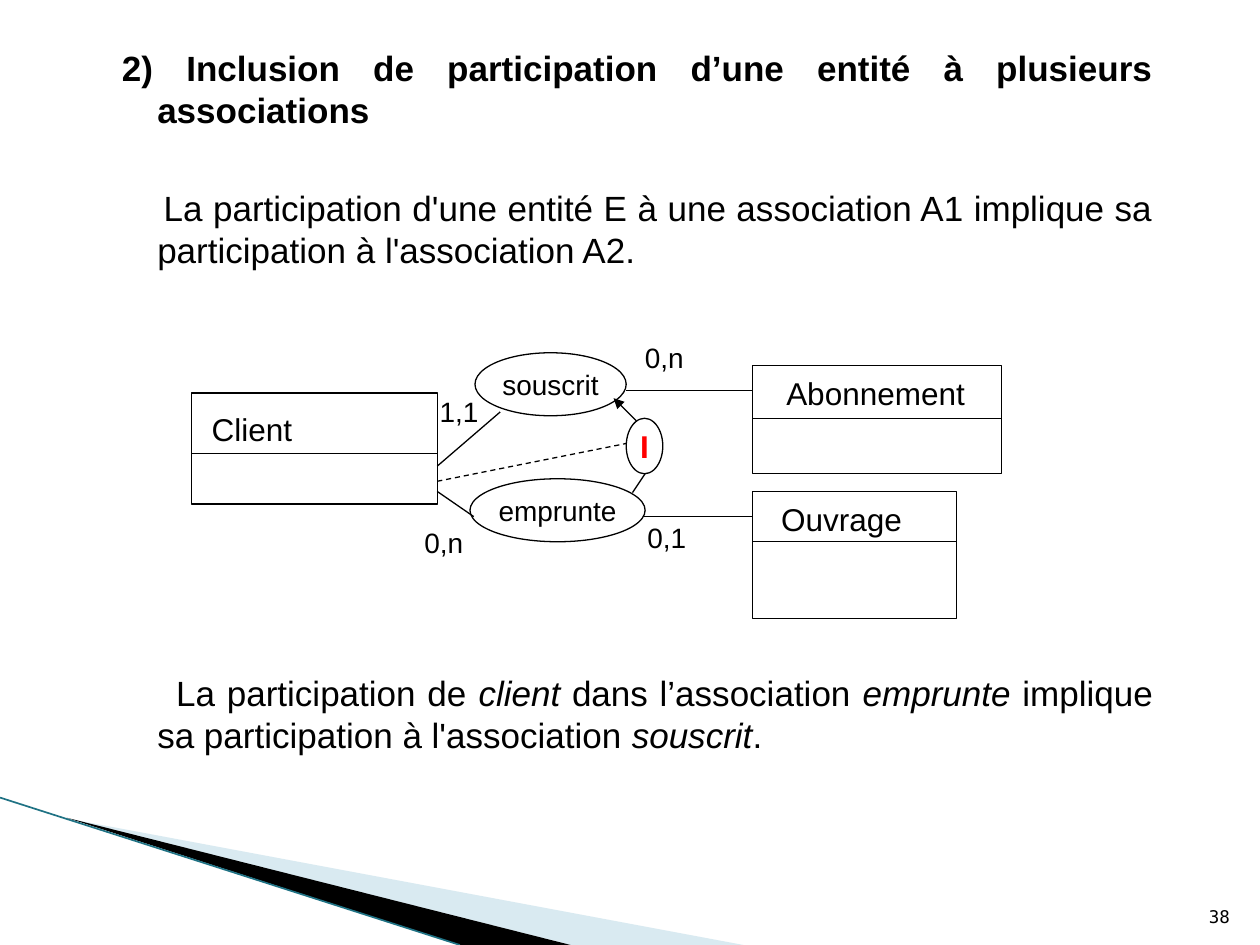
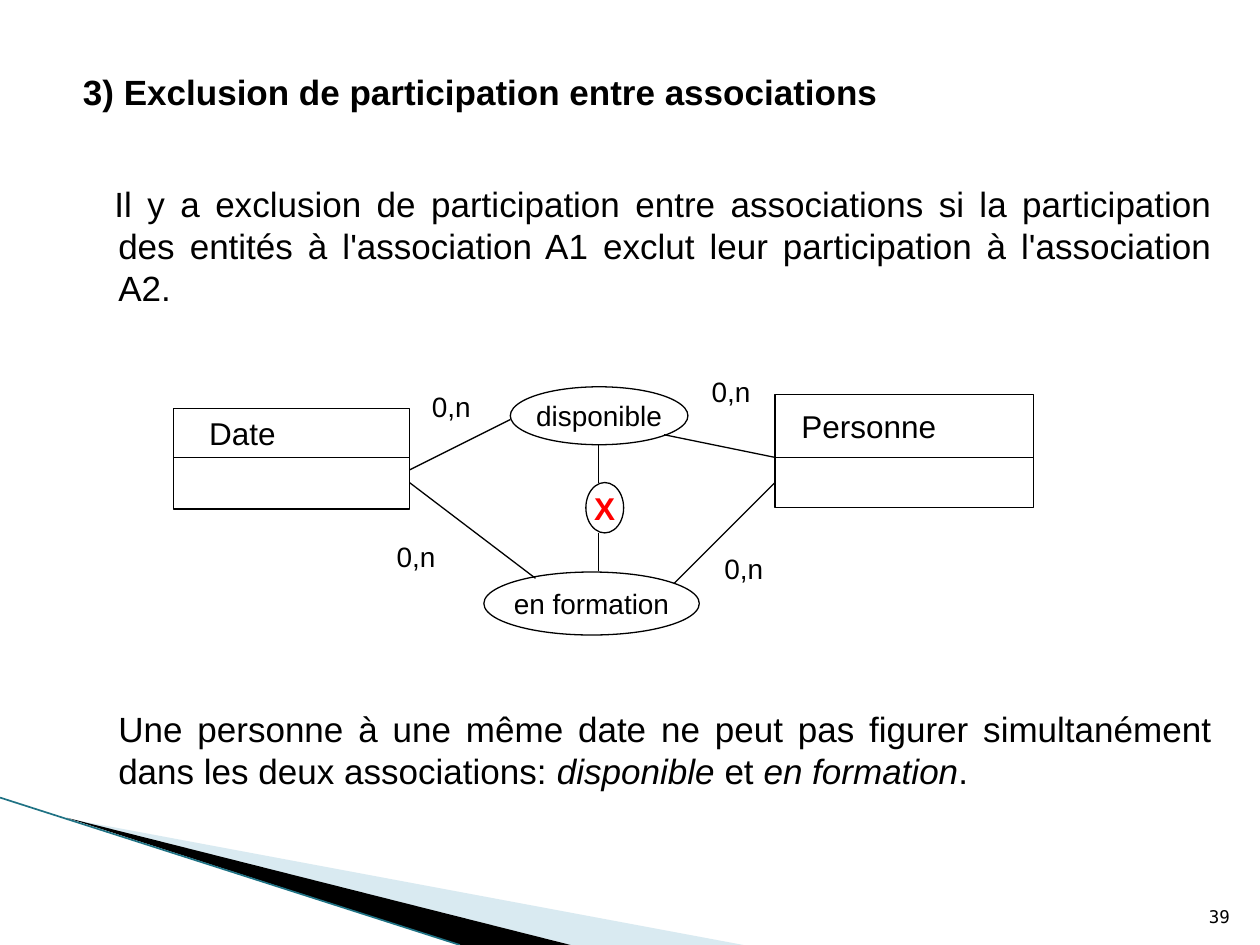
import lxml.etree
import pptx
import pptx.dml.color
import pptx.enum.dml
import pptx.enum.shapes
import pptx.enum.text
import pptx.oxml.ns
import pptx.util

ALIGN = pptx.enum.text.PP_ALIGN
ANCHOR = pptx.enum.text.MSO_ANCHOR
SHAPE = pptx.enum.shapes.MSO_SHAPE
Pt = pptx.util.Pt

# Lengths count cells of a grid of 100 columns by 75 rows on a 10 x 7.5 inch slide.
COLUMNS, ROWS = 100, 75
WIDTH, HEIGHT = pptx.util.Inches(10), pptx.util.Inches(7.5)
CELL = WIDTH // COLUMNS

THEME = {
    "font": "Arial", "number_font": "DejaVu Sans Mono",
    "ink": "000000", "paper": "FFFFFF", "alert": "FF0000",
    "pale": "A0CBDC", "edge": "1F7284", "pale_opacity": 40,
    "body": 20, "entity": 18, "association": 16, "number": 10,
    "line": 0.75, "edge_line": 0.95, "leading": 24,
}

# Corner bands: colour, opacity in percent, corners
BANDS = [
    ("pale", THEME["pale_opacity"], [(5.5, 65), (59, ROWS), (45.3, ROWS)]),
    ("ink", 100, [(5.3, 64.9), (45.3, ROWS), (36.5, ROWS)]),
]
BAND_EDGE = (0, 63.3, 36.5, ROWS)
NUMBER_BOX = (94.6, 70.1, 4, 4)

# paragraphs: text (*italic*), points before, first-line indent, alignment, bold
# entities: name, box, row of the divider, inset of the name
# links: ends, dash, arrow
SLIDES = [
    {
        "number": "38",
        "body": (7.5, 3.2, 85, 63.5),
        "paragraphs": [
            ("2) Inclusion de participation d’une entité à plusieurs associations", 0, -2.8, ALIGN.JUSTIFY, True),
            ("La participation d'une entité E à une association A1 implique sa "
             "participation à l'association A2.", 32, 0.5, ALIGN.JUSTIFY, False),
            ("La participation de *client* dans l’association *emprunte* implique sa "
             "participation à l'association *souscrit*.", 229, 1.5, ALIGN.JUSTIFY, False),
        ],
        "entities": [
            ("Client", (15.2, 31.2, 19.5, 8.8), 36, (1.6, 1.3)),
            ("Ouvrage", (59.7, 39, 16.2, 10.1), 43, (2.3, 0.7)),
            ("Abonnement", (59.7, 29, 19.8, 8.6), 33.2, (2.7, 0.7)),
        ],
        "associations": [
            ("emprunte", (37.3, 38, 13.9, 5)),
            ("souscrit", (37.7, 28, 12, 5)),
        ],
        "constraint": ("I", (49.7, 33.2, 2.9, 4.4)),
        "links": [
            ((34.7, 37, 39.7, 32.7), False, False),
            ((34.7, 39, 37.6, 41), False, False),
            ((49.7, 31, 59.7, 31), False, False),
            ((51, 41, 59.7, 41), False, False),
            ((50.2, 39.1, 51.2, 37.6), False, False),
            ((50.5, 33.4, 48.7, 31.6), False, True),
            ((34.7, 38.2, 49.7, 35.2), True, False),
        ],
        "multiplicities": [
            ("1,1", (33.9, 30.8)), ("0,n", (32.7, 41.2)),
            ("0,1", (50.4, 40.8)), ("0,n", (50.2, 26.5)),
        ],
    },
    {
        "number": "39",
        "body": (4.4, 5.1, 92.8, 64.3),
        "paragraphs": [
            ("3) Exclusion de participation entre associations", 0, -2.8, ALIGN.LEFT, True),
            ("Il y a exclusion de participation entre associations si la participation "
             "des entités à l'association A1 exclut leur participation à "
             "l'association A2.", 40, -0.3, ALIGN.JUSTIFY, False),
            ("Une personne à une même date ne peut pas figurer simultanément dans les "
             "deux associations: *disponible* et *en formation*.", 228, 0, ALIGN.JUSTIFY, False),
        ],
        "entities": [
            ("Date", (13.8, 32.4, 18.7, 8), 36.3, (2.8, 0.5)),
            ("Personne", (61.5, 31.3, 20.5, 9), 36.3, (2.1, 1)),
        ],
        "associations": [
            ("disponible", (40.5, 30.7, 14.1, 4.6)),
            ("en formation", (38.4, 45.4, 17.1, 5)),
        ],
        "constraint": ("X", (46.5, 38.3, 3, 4)),
        "links": [
            ((32.5, 37.3, 40.5, 33.3), False, False),
            ((32.5, 38.3, 42.5, 45.9), False, False),
            ((52.7, 34.5, 61.5, 36.3), False, False),
            ((53.5, 46.3, 61.5, 38.3), False, False),
            ((47.5, 35.3, 47.5, 38.3), False, False),
            ((47.5, 42.3, 47.5, 45.3), False, False),
        ],
        "multiplicities": [
            ("0,n", (33.3, 30.4)), ("0,n", (30.5, 42.3)),
            ("0,n", (56.5, 43.3)), ("0,n", (55.5, 29.2)),
        ],
    },
]
MULTIPLICITY_SIZE = (8, 4)


def cells(lengths):
    return [round(length * CELL) for length in lengths]


def colour(name):
    return pptx.dml.color.RGBColor.from_string(THEME[name])


def assign(target, values):
    for attribute, value in values.items():
        setattr(target, attribute, value)


def add_xml(parent, tag, **attributes):
    return lxml.etree.SubElement(parent, pptx.oxml.ns.qn(tag), attributes)


def add_run(paragraph, text, size, ink="ink", font="font", bold=False, italic=False):
    run = paragraph.add_run()
    run.text = text
    assign(run.font, {"name": THEME[font], "size": Pt(THEME[size]), "bold": bold, "italic": italic})
    run.font.color.rgb = colour(ink)


def add_label(slide, text, box, size, **look):
    label = slide.shapes.add_textbox(*cells(box))
    label.text_frame.word_wrap = True
    add_run(label.text_frame.paragraphs[0], text, size, **look)
    return label.text_frame


def add_outlined(slide, kind, box, text, size, inset=None, **look):
    """Add a white shape; its text is centred unless an inset from the top left is given."""
    outlined = slide.shapes.add_shape(kind, *cells(box))
    outlined.shadow.inherit = False
    outlined.fill.solid()
    outlined.fill.fore_color.rgb = colour("paper")
    outlined.line.color.rgb = colour("ink")
    outlined.line.width = Pt(THEME["line"])
    left, top = cells(inset or (0, 0))
    assign(outlined.text_frame, {
        "margin_left": left, "margin_top": top, "margin_right": 0, "margin_bottom": 0,
        "word_wrap": inset is not None,
        "vertical_anchor": ANCHOR.TOP if inset else ANCHOR.MIDDLE,
    })
    paragraph = outlined.text_frame.paragraphs[0]
    paragraph.alignment = ALIGN.LEFT if inset else ALIGN.CENTER
    add_run(paragraph, text, size, **look)


def add_link(slide, ends, dash=False, arrow=False, ink="ink", width="line"):
    link = slide.shapes.add_connector(pptx.enum.shapes.MSO_CONNECTOR.STRAIGHT, *cells(ends))
    link.line.color.rgb = colour(ink)
    link.line.width = Pt(THEME[width])
    if dash:
        link.line.dash_style = pptx.enum.dml.MSO_LINE.DASH
    if arrow:
        add_xml(link.line._get_or_add_ln(), "a:tailEnd", type="triangle")
    add_xml(link._element.spPr, "a:effectLst")


def add_bands(slide):
    for ink, opacity, corners in BANDS:
        first, *others = [cells(corner) for corner in corners]
        outline = slide.shapes.build_freeform(*first)
        outline.add_line_segments(others, close=True)
        band = outline.convert_to_shape()
        band.shadow.inherit = False
        band.fill.solid()
        band.fill.fore_color.rgb = colour(ink)
        band.line.fill.background()
        if opacity < 100:
            tint = band._element.spPr.find(".//" + pptx.oxml.ns.qn("a:srgbClr"))
            add_xml(tint, "a:alpha", val=str(opacity * 1000))
    add_link(slide, BAND_EDGE, ink="edge", width="edge_line")


def add_body(slide, box, paragraphs):
    frame = slide.shapes.add_textbox(*cells(box)).text_frame
    frame.word_wrap = True
    hanging, = cells([4])
    for index, (text, before, first_indent, alignment, bold) in enumerate(paragraphs):
        paragraph = frame.add_paragraph() if index else frame.paragraphs[0]
        assign(paragraph, {"alignment": alignment, "space_before": Pt(before),
                           "line_spacing": Pt(THEME["leading"])})
        indent, = cells([first_indent])
        assign(paragraph._p.get_or_add_pPr(), {})
        for key, value in (("marL", hanging), ("indent", indent)):
            paragraph._p.get_or_add_pPr().set(key, str(value))
        for part, words in enumerate(text.split("*")):
            add_run(paragraph, words, "body", bold=bold, italic=part % 2 == 1)


def add_diagram(slide, content):
    for name, box, divider, inset in content["entities"]:
        add_outlined(slide, SHAPE.RECTANGLE, box, name, "entity", inset)
        add_link(slide, (box[0], divider, box[0] + box[2], divider))
    for name, box in content["associations"]:
        add_outlined(slide, SHAPE.OVAL, box, name, "association")
    symbol, box = content["constraint"]
    add_outlined(slide, SHAPE.OVAL, box, symbol, "entity", ink="alert", bold=True)
    for ends, dash, arrow in content["links"]:
        add_link(slide, ends, dash, arrow)
    for text, corner in content["multiplicities"]:
        add_label(slide, text, corner + MULTIPLICITY_SIZE, "association")


def main():
    deck = pptx.Presentation()
    assign(deck, {"slide_width": WIDTH, "slide_height": HEIGHT})
    for content in SLIDES:
        slide = deck.slides.add_slide(deck.slide_layouts[6])
        add_bands(slide)
        add_body(slide, content["body"], content["paragraphs"])
        add_diagram(slide, content)
        number = add_label(slide, content["number"], NUMBER_BOX, "number", font="number_font")
        number.vertical_anchor = ANCHOR.BOTTOM
        number.paragraphs[0].alignment = ALIGN.RIGHT
    deck.save("out.pptx")


if __name__ == "__main__":
    main()
